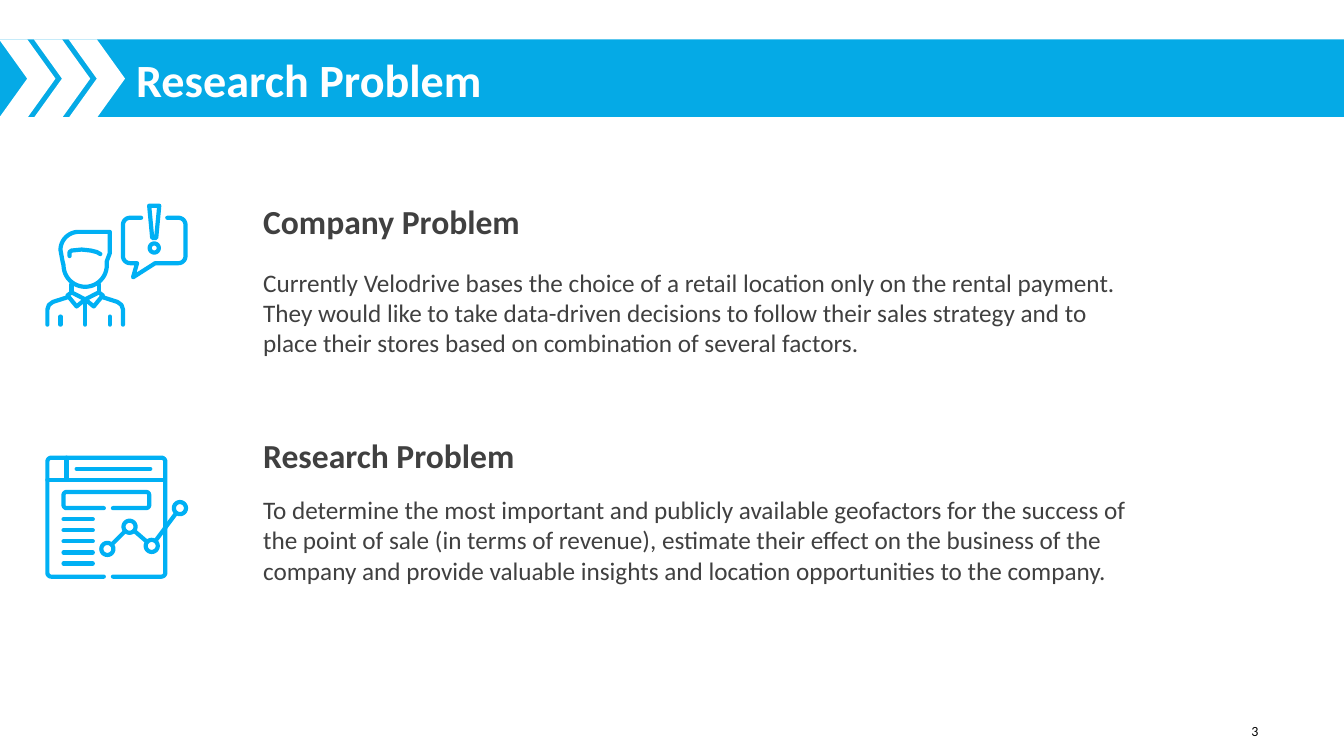
import math
from pptx import Presentation, util as u
from pptx.dml.color import RGBColor
from pptx.enum import shapes as sh, text as tx
from pptx.oxml import parse_xml
from pptx.oxml.ns import nsdecls

BLUE = RGBColor(0x05, 0xAA, 0xE6)
SKY = RGBColor(0x00, 0xB0, 0xF4)
GRAY = RGBColor(0x40, 0x40, 0x40)
WHITE = RGBColor(0xFF, 0xFF, 0xFF)
BLACK = RGBColor(0, 0, 0)

deck = Presentation()
deck.slide_width, deck.slide_height = u.Inches(13.333), u.Inches(7.5)
CELL = deck.slide_width / 1333
page = deck.slides.add_slide(deck.slide_layouts[4])
pen = page.shapes


def arc(x, y, r, start, end):
    turns = [math.radians(start + (end - start) * i / 24) for i in range(25)]
    return [(x + r * math.cos(t), y + r * math.sin(t)) for t in turns]


def draw(*lines):
    paths = [[(x * CELL, y * CELL) for x, y in line] for line in lines]
    pencil = pen.build_freeform(*paths[0][0], scale=1.0)
    for dots in paths:
        pencil.move_to(*dots[0])
        pencil.add_line_segments(dots[1:], close=False)
    form = pencil.convert_to_shape()
    form.shadow.inherit = False
    form.fill.background()
    form.line.color.rgb = SKY
    form.line.width = u.Pt(3)
    form.line._get_or_add_ln().set("cap", "rnd")


bands = [(sh.MSO_SHAPE.RECTANGLE, 0, 1333, 77, BLUE)]
bands += [(sh.MSO_SHAPE.CHEVRON, -1 + 34.5 * i, 56, 78, WHITE) for i in range(3)]
for i, (kind, x, w, h, tone) in enumerate(bands):
    band = pen.add_shape(kind, *[round(n * CELL) for n in (x, 39, w, h)])
    band.shadow.inherit = False
    band.fill.solid()
    band.fill.fore_color.rgb = tone
    band.line.fill.background()
    pen._spTree.insert(2 + i, band._element)

company = (
    "Currently Velodrive bases the choice of a retail location only on the rental payment. "
    "They would like to take data-driven decisions to follow their sales strategy and to "
    "place their stores based on combination of several factors."
)
research = (
    "To determine the most important and publicly available geofactors for the success of "
    "the point of sale (in terms of revenue), estimate their effect on the business of the "
    "company and provide valuable insights and location opportunities to the company."
)
title, head1, body1, head2, body2 = pen.placeholders
number = pen.add_textbox(0, 0, 0, 0)
texts = [
    (title, "Research Problem", (135, 52, 1190, 60), 33, True, WHITE),
    (head1, "Company Problem", (251, 194.5, 667, 50), 24, True, GRAY),
    (body1, company, (251, 260, 892, 101), 18, False, GRAY),
    (head2, "Research Problem", (251, 426.5, 667, 50), 24, True, GRAY),
    (body2, research, (251, 485.5, 892, 131), 18, False, GRAY),
    (number, "3", (958, 712, 300, 38), 10, False, BLACK),
]
for item, words, area, size, bold, tone in texts:
    item.left, item.top, item.width, item.height = [round(n * CELL) for n in area]
    frame = item.text_frame
    frame.text = words
    frame.word_wrap = True
    frame.auto_size = tx.MSO_AUTO_SIZE.NONE
    frame.vertical_anchor = tx.MSO_ANCHOR.TOP
    para = frame.paragraphs[0]
    para.alignment = tx.PP_ALIGN.LEFT
    para.line_spacing = 1.0
    para.space_before = u.Pt(0)
    props = para._p.get_or_add_pPr()
    props.set("marL", "0")
    props.set("indent", "0")
    props.append(parse_xml("<a:buNone %s/>" % nsdecls("a")))
    font = para.runs[0].font
    font.name, font.size, font.bold = "Calibri", u.Pt(size), bold
    font.color.rgb = tone
number.text_frame.paragraphs[0].alignment = tx.PP_ALIGN.RIGHT
top = title.text_frame
top.vertical_anchor = tx.MSO_ANCHOR.MIDDLE
top.margin_left = top.margin_right = top.margin_top = top.margin_bottom = 0
top.paragraphs[0].line_spacing = 0.9

MID = 84.5
hair = arc(78, 248, 18, 180, 270)
chin = arc(MID, 263, 21.5, 0, 180)
head = hair + [(109, 230), (109, 251), (106, 259)] + chin + [(62, 259), hair[0]]
man = [head, [(MID, 297), (MID, 322)]]
for side in (-1, 1):
    halves = [
        [(13.5, 282), (13.5, 290)],
        [(13.5, 290), (0, 297), (8.5, 304), (17.5, 293), (13.5, 290)],
        [(18, 295), (32, 299.5), (36, 302.5), (37.5, 307), (37.5, 322)],
    ]
    man += [[(MID + side * x, y) for x, y in half] for half in halves]
    draw([(MID + side * 24.5, 314), (MID + side * 24.5, 322)])
draw(*man)
draw([(69, 254), (69, 250), (71, 248.5), (81, 247.5), (90, 248.5), (96, 250), (99.5, 252)])

left = arc(129, 223, 7, 270, 180) + arc(129, 254, 7, 180, 90)
right = arc(177, 254, 7, 90, 0) + arc(177, 223, 7, 0, -90)
tail = [(136, 261), (132, 275), (154, 261)]
draw([(140, 216)] + left + tail + right + [(166, 216)])
draw([(148, 204), (158, 204), (155, 236), (151, 236), (148, 204)])
draw(arc(153, 246, 4.5, 0, 360))

edge = arc(51, 568, 4, 90, 180) + arc(51, 458, 4, 180, 270)
edge += arc(160, 458, 4, -90, 0) + arc(160, 568, 4, 0, 90)
sheet = [
    [(103, 572)] + edge + [(112, 572)],
    [(47, 476), (163, 476)],
    [(66, 454), (66, 476)],
]
R = 6
nodes = [(106.5, 544.5), (128.5, 522.5), (150.5, 541.5), (178.5, 504)]
sheet += [arc(x, y, R, 0, 360) for x, y in nodes]
for (x, y), (p, q) in zip(nodes, nodes[1:]):
    share = R / math.hypot(p - x, q - y)
    dx, dy = (p - x) * share, (q - y) * share
    sheet.append([(x + dx, y + dy), (p - dx, q - dy)])
draw(*sheet)

draw([(76, 465), (149, 465)])
field = arc(66, 501, 3, 90, 180) + arc(66, 491, 3, 180, 270)
field += arc(145, 491, 3, -90, 0) + arc(145, 501, 3, 0, 90)
draw([(103, 504)] + field + [(112, 504)])
for row in range(5):
    draw([(63, 515 + 11 * row), (92, 515 + 11 * row)])

deck.save("out.pptx")
